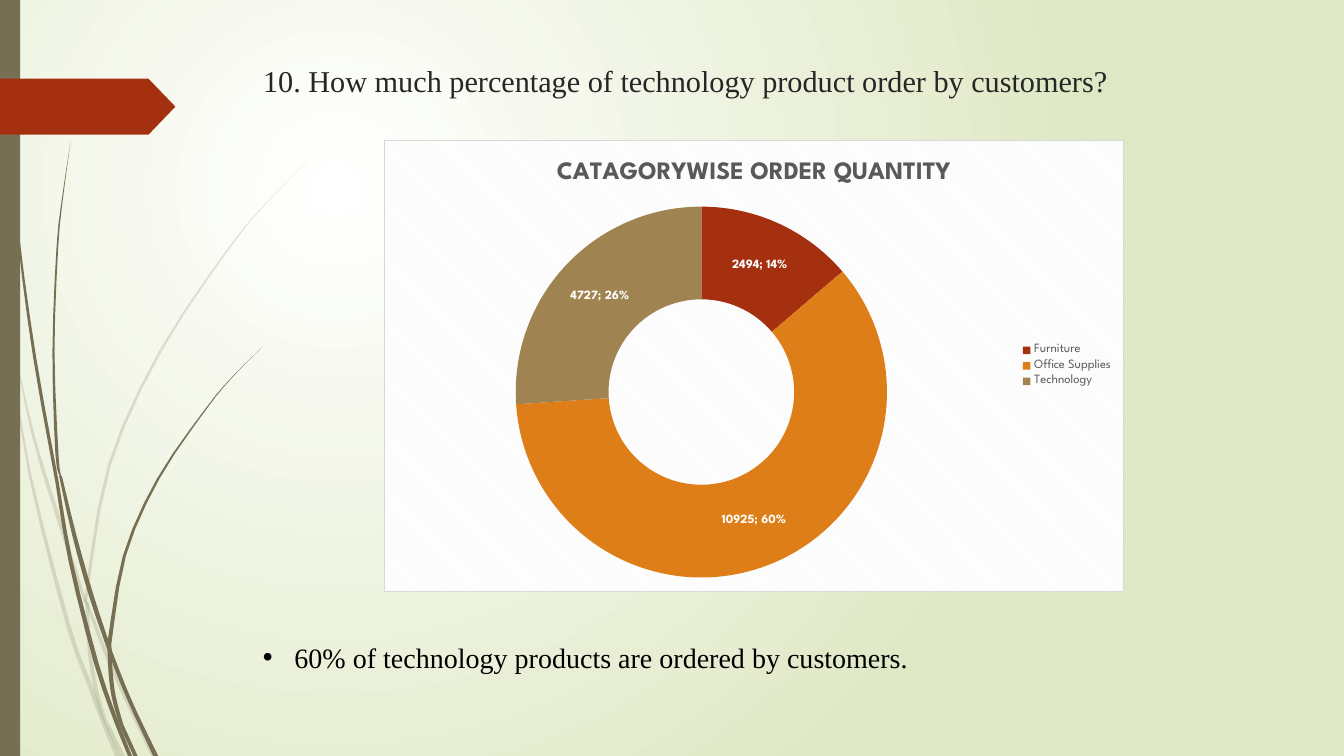
from lxml import etree
from pptx import Presentation
from pptx.chart.data import CategoryChartData
from pptx.dml.color import RGBColor
from pptx.enum.chart import XL_CHART_TYPE, XL_LEGEND_POSITION
from pptx.enum.shapes import MSO_SHAPE
from pptx.enum.text import MSO_ANCHOR, PP_ALIGN
from pptx.oxml import parse_xml
from pptx.oxml.ns import nsdecls, qn
from pptx.util import Pt

DOUGHNUT = XL_CHART_TYPE.DOUGHNUT
LEGEND_RIGHT = XL_LEGEND_POSITION.RIGHT
RECTANGLE, PENTAGON = MSO_SHAPE.RECTANGLE, MSO_SHAPE.PENTAGON
TOP, LEFT = MSO_ANCHOR.TOP, PP_ALIGN.LEFT

COLORS = {
    "white": "FFFFFF", "sage": "DFE8C4", "bark": "766F54", "rust": "A53010",
    "orange": "DE7E18", "tan": "9F8351", "heading": "262626", "black": "000000",
    "label": "595959", "hatch": "F2F2F2", "border": "D9D9D9",
}
SERIF, SANS = "Times New Roman", "League Spartan"
TITLE_ONLY = 5

PALE_BLADES = [
    [(8, 252, 0), (21.2, 338, 2), (48.6, 446, 3), (65.2, 492, 3.5), (73, 514, 3)],
    [(73, 514, 3), (83.9, 540, 3.6)],
    [(10, 248, 0), (24, 312, 2), (43, 374, 3), (61, 430, 2)],
    [(61.9, 430, 2), (75, 465, 3), (90, 499, 3), (109.8, 540, 3.6)],
    [(224.6, 110.2, 0), (193, 142.2, 0.5), (164.5, 176, 1.2), (114.5, 251, 2),
     (78.1, 332.3, 2.2), (62.3, 420.5, 2.2), (62, 430, 2.5)],
    [(62, 430, 2.5), (64.1, 465, 2.9), (68.4, 492, 3), (74.2, 512.6, 3)],
    [(74.2, 512.6, 3), (87.5, 540, 3.6)],
]
DARK_BLADES = [
    [(2.5, 0, 0.7), (5.4, 79, 0.8), (13, 167.8, 1.4), (24.8, 255.6, 2.2),
     (40.9, 345, 2.4)],
    [(40.9, 345, 2.4), (50.4, 400.7, 2.9), (68.8, 473.8, 3.3), (84, 518, 3)],
    [(84, 518, 3), (92.9, 540, 3)],
    [(50.4, 101.5, 0), (45, 139, 0.7), (41, 176.4, 1.2), (38.2, 251.3, 1.5),
     (40.7, 324.7, 2.2), (43.2, 340, 1)],
    [(43.2, 340, 2), (53, 382, 3), (65.2, 425.5, 3.4), (77.8, 463, 3)],
    [(77.8, 463, 3), (87, 487, 3), (96.5, 509, 3), (111.2, 540, 3.6)],
    [(187.6, 247.7, 0), (166.3, 269, 0.5), (147.2, 292, 1), (113, 342, 1.8),
     (88.9, 397, 2.2), (78.1, 460, 2.9)],
    [(78.1, 460, 2.9), (79, 480, 3), (81.2, 497.5, 3), (86.4, 517, 3)],
    [(86.4, 517, 3), (96.8, 540, 3)],
]
ORDERS = [("Furniture", 2494, "rust"), ("Office Supplies", 10925, "orange"),
          ("Technology", 4727, "tan")]


def rgb(name):
    return RGBColor.from_string(COLORS[name])


def style_font(font, size, color, family, bold=False):
    font.size, font.name, font.bold = Pt(size), family, bold
    font.color.rgb = rgb(color)


def paint(shape, color):
    shape.shadow.inherit = False
    shape.fill.solid()
    shape.fill.fore_color.rgb = rgb(color)
    shape.line.fill.background()


def smooth(knots, steps=3):
    padded = [knots[0], *knots, knots[-1]]
    curve = []
    for ends in zip(padded, padded[1:], padded[2:], padded[3:]):
        for t in (step / steps for step in range(steps)):
            curve.append([
                q + (t * (r - p) + t**2 * (2 * p - 5 * q + 4 * r - s)
                     + t**3 * (3 * q - p - 3 * r + s)) / 2
                for p, q, r, s in zip(*ends)])
    return curve + [knots[-1]]


def add_blade(slide, box, knots, alpha):
    left, top = box[:2]
    curve = smooth(knots)
    near = [(Pt(left + x - w / 2), Pt(top + y)) for x, y, w in curve]
    far = [(Pt(left + x + w / 2), Pt(top + y)) for x, y, w in reversed(curve)]
    outline = slide.shapes.build_freeform(*near[0])
    outline.add_line_segments(near[1:] + far, close=True)
    blade = outline.convert_to_shape()
    paint(blade, "bark")
    if alpha < 100:
        tint = blade.element.spPr.find(qn("a:solidFill")).find(qn("a:srgbClr"))
        etree.SubElement(tint, qn("a:alpha")).set("val", str(alpha * 1000))


def add_backdrop(slide):
    fill = slide.background.fill
    fill.gradient()
    for stop, position, color in zip(fill.gradient_stops, (0, 1), ("white", "sage")):
        stop.position = position
        stop.color.rgb = rgb(color)
    gradient = slide.element.find(".//" + qn("a:gradFill"))
    gradient.replace(gradient.find(qn("a:lin")), parse_xml(
        f'<a:path {nsdecls("a")} path="circle">'
        '<a:fillToRect l="50000" t="50000" r="100000" b="100000"/></a:path>'))


def add_side_decor(slide, box):
    left, top, _, height = box
    for blades, alpha in ((PALE_BLADES, 20), (DARK_BLADES, 100)):
        for knots in blades:
            add_blade(slide, box, knots, alpha)
    stripe = slide.shapes.add_shape(RECTANGLE, Pt(left), Pt(top), Pt(14.4), Pt(height))
    paint(stripe, "bark")
    marker = slide.shapes.add_shape(PENTAGON, Pt(left), Pt(top + 56.2), Pt(125.3), Pt(40))
    marker.adjustments[0] = 0.48
    paint(marker, "rust")


def add_question(slide, box):
    question = slide.shapes.title
    question.left, question.top, question.width, question.height = map(Pt, box)
    frame = question.text_frame
    frame.text = "10. How much percentage of technology product order by customers?"
    frame.word_wrap = True
    frame.vertical_anchor = TOP
    frame.paragraphs[0].alignment = LEFT
    style_font(frame.paragraphs[0].runs[0].font, 21.6, "heading", SERIF)


def add_order_chart(slide, box):
    orders = CategoryChartData()
    orders.categories = [category for category, _, _ in ORDERS]
    orders.add_series("Series 1", [quantity for _, quantity, _ in ORDERS])
    chart = slide.shapes.add_chart(DOUGHNUT, *map(Pt, box), orders).chart
    style_font(chart.font, 10, "black", SANS)

    chart.has_title = True
    heading = chart.chart_title.text_frame
    heading.text = "CATAGORYWISE ORDER QUANTITY"
    style_font(heading.paragraphs[0].runs[0].font, 18, "label", SANS, True)
    chart.chart_title.include_in_layout = False

    chart.has_legend = True
    chart.legend.position = LEGEND_RIGHT
    chart.legend.include_in_layout = False
    style_font(chart.legend.font, 9, "label", SANS)

    ring = chart.plots[0]
    ring.vary_by_categories = True
    quantities = ring.series[0]
    for index, (_, _, color) in enumerate(ORDERS):
        slice_format = quantities.points[index].format
        slice_format.fill.solid()
        slice_format.fill.fore_color.rgb = rgb(color)
        slice_format.line.fill.background()
    labels = quantities.data_labels
    labels.show_value = labels.show_percentage = True
    style_font(labels.font, 9, "white", SANS, True)

    chart.element.find(".//" + qn("c:holeSize")).set("val", "70")
    chart.element.find(qn("c:chart")).addnext(parse_xml(
        f'<c:spPr {nsdecls("c", "a")}><a:pattFill prst="dkDnDiag">'
        f'<a:fgClr><a:srgbClr val="{COLORS["hatch"]}"/></a:fgClr>'
        f'<a:bgClr><a:srgbClr val="{COLORS["white"]}"/></a:bgClr></a:pattFill>'
        f'<a:ln w="{Pt(0.75)}"><a:solidFill><a:srgbClr val="{COLORS["border"]}"/>'
        '</a:solidFill></a:ln></c:spPr>'))


def add_finding(slide, box):
    frame = slide.shapes.add_textbox(*map(Pt, box)).text_frame
    frame.word_wrap = True
    frame.text = "60% of technology products are ordered by customers."
    finding = frame.paragraphs[0]
    style_font(finding.runs[0].font, 20, "black", SERIF)
    indent = finding._p.get_or_add_pPr()
    indent.set("marL", str(Pt(22.5)))
    indent.set("indent", str(-Pt(22.5)))
    etree.SubElement(indent, qn("a:buFont")).set("typeface", "Arial")
    etree.SubElement(indent, qn("a:buChar")).set("char", "•")


def main():
    deck = Presentation()
    deck.slide_width, deck.slide_height = Pt(960), Pt(540)
    slide = deck.slides.add_slide(deck.slide_layouts[TITLE_ONLY])
    add_backdrop(slide)
    add_side_decor(slide, (0, 0, 225, 540))
    add_question(slide, (180.7, 41, 702, 59))
    add_order_chart(slide, (274, 99.8, 529.2, 323))
    add_finding(slide, (180.7, 454, 486, 31.7))
    deck.save("out.pptx")


if __name__ == "__main__":
    main()
